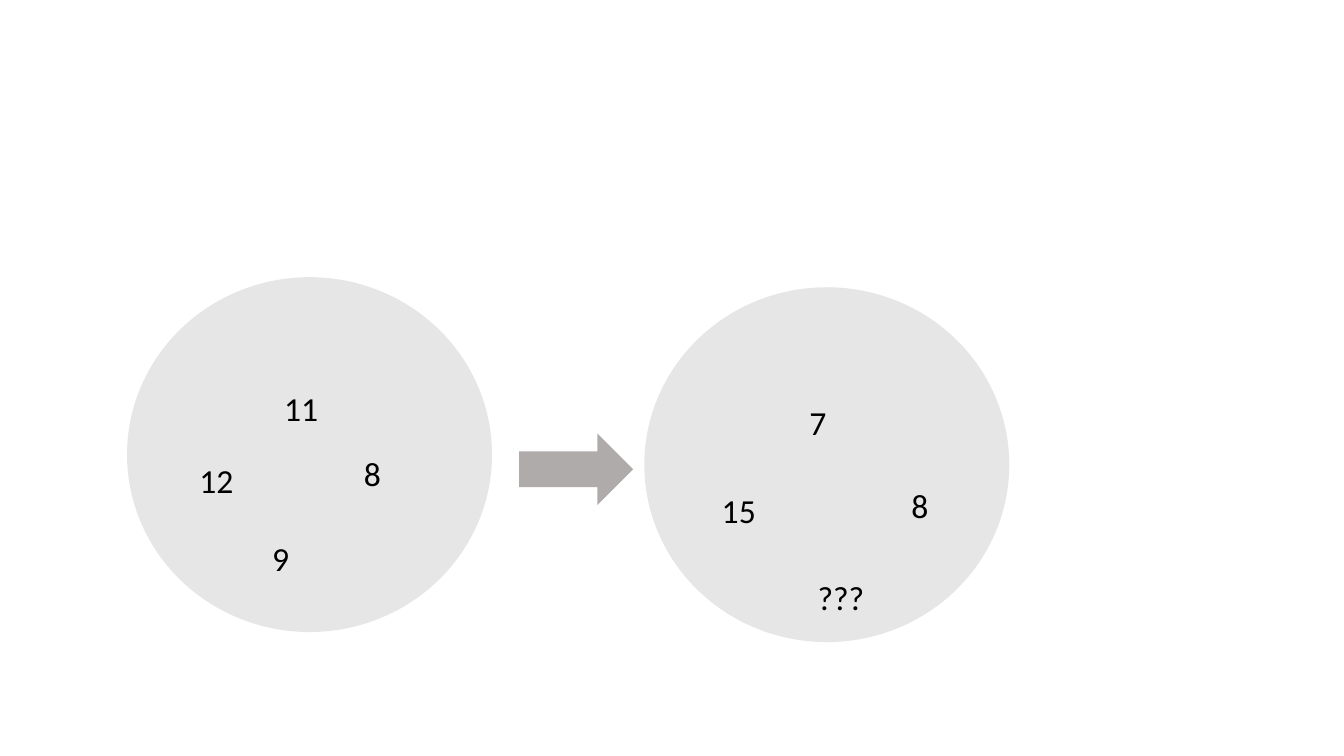
from pptx import Presentation
from pptx.dml.color import RGBColor
from pptx.enum.shapes import MSO_SHAPE as Preset
from pptx.enum.text import MSO_AUTO_SIZE as AutoSize
from pptx.util import Inches, Pt

COLORS = {"circle": "E7E6E6", "arrow": "AFABAB", "text": "000000"}
CIRCLE_SIZE = (3.62, 3.52)
CIRCLES = [
    {"corner": (6.39, 2.85),
     "numbers": [("7", 7.93, 3.94), ("8", 8.94, 4.76),
                 ("???", 8.01, 5.67), ("15", 7.06, 4.81)]},
    {"corner": (1.26, 2.75),
     "numbers": [("11", 2.72, 3.8), ("8", 3.51, 4.44),
                 ("9", 2.6, 5.29), ("12", 1.88, 4.51)]},
]
ARROW = (5.15, 4.3, 1.13, 0.71)


def add_plain_shape(page, preset, bounds, color):
    shape = page.shapes.add_shape(preset, *map(Inches, bounds))
    shape.shadow.inherit = False
    shape.fill.solid()
    shape.fill.fore_color.rgb = RGBColor.from_string(COLORS[color])
    shape.line.fill.background()


def add_number(page, text, left, top):
    width = 0.78 if len(text) > 2 else 0.59
    box = page.shapes.add_textbox(*map(Inches, (left, top, width, 0.5)))
    frame = box.text_frame
    frame.word_wrap = True
    frame.auto_size = AutoSize.SHAPE_TO_FIT_TEXT
    para = frame.paragraphs[0]
    para.text = text
    para.font.name = "Calibri"
    para.font.size = Pt(24)
    para.font.color.rgb = RGBColor.from_string(COLORS["text"])


def main():
    deck = Presentation()
    deck.slide_width, deck.slide_height = Inches(13.33), Inches(7.5)
    page = deck.slides.add_slide(deck.slide_layouts[6])
    for circle in CIRCLES:
        add_plain_shape(page, Preset.OVAL, circle["corner"] + CIRCLE_SIZE, "circle")
        for number in circle["numbers"]:
            add_number(page, *number)
    add_plain_shape(page, Preset.RIGHT_ARROW, ARROW, "arrow")
    deck.save("out.pptx")


if __name__ == "__main__":
    main()
